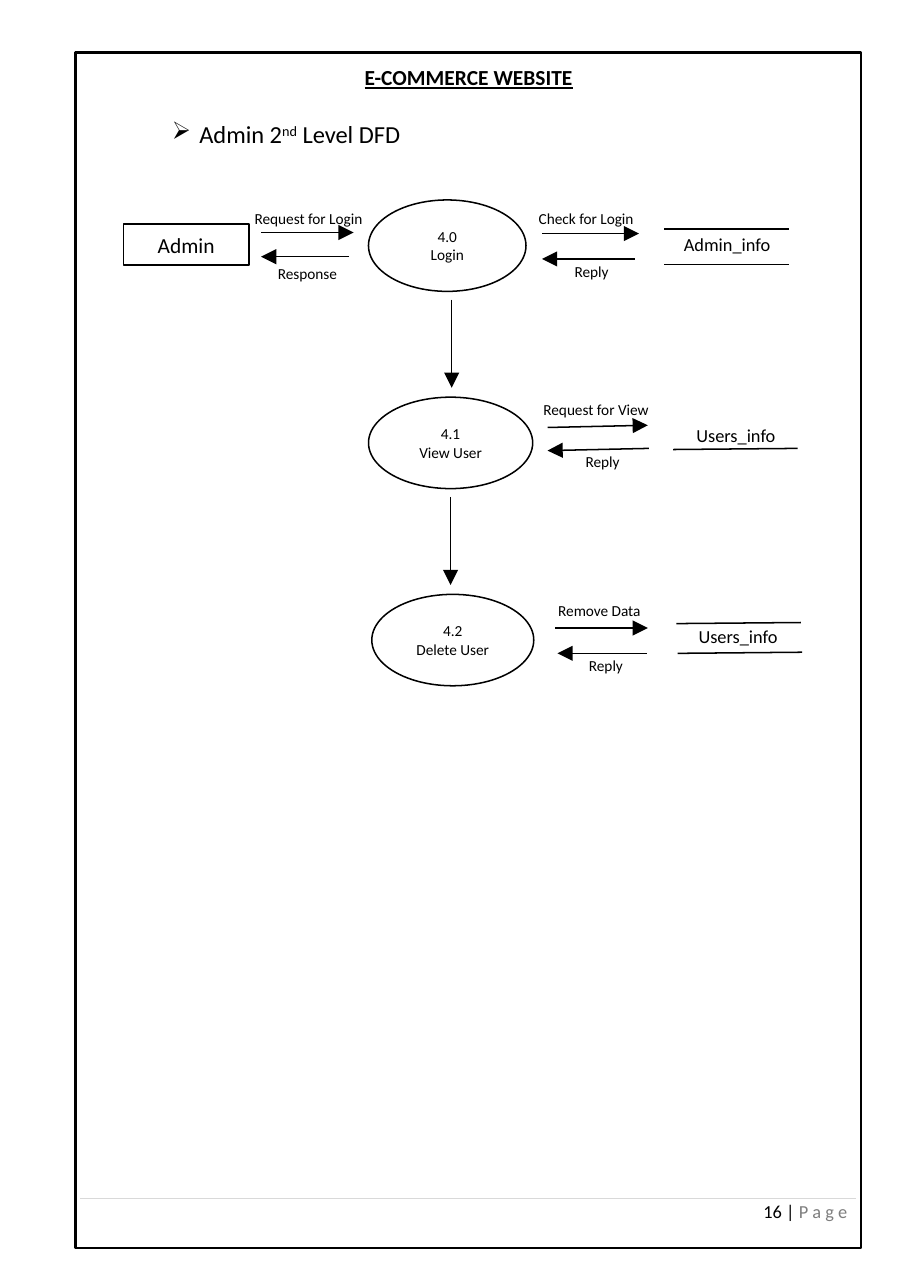
from lxml import etree
from pptx import Presentation, util as u
from pptx.dml.color import RGBColor
from pptx.enum import shapes, text
from pptx.oxml.ns import qn

PAGE = (8.26, 11.69)
COLORS = {"ink": "000000", "rule": "D9D9D9", "muted": "7E7E7E"}
FONT = "Calibri"
ROW_TOP, ROW_PITCH = 2.23, 1.79
ROWS = [ROW_TOP + ROW_PITCH * i for i in range(3)]

TITLE = "E-COMMERCE WEBSITE"
HEADING = [("Admin 2", 0), ("nd", 26), (" Level DFD", 0)]
FOOTER = [("16 | ", "ink"), ("P a g e", "muted")]
ENTITY = ("Admin", 1.69, 1.14, 0.37)

# text, centre x, width
PROCESSES = [("4.0\nLogin", 4.06, 1.43), ("4.1\nView User", 4.09, 1.49),
             ("4.2\nDelete User", 4.11, 1.47)]
PROCESS_HEIGHT = 0.83
STEP_XS = [4.1, 4.09]
STEP_GAPS = (0.49, 0.5)

# y values below are measured from the centre of the row
# row, label, label centre (x, y), arrow start (x, y), arrow end (x, y)
FLOWS = [
    (0, "Request for Login", (2.8, -0.25), (2.37, -0.12), (3.21, -0.12)),
    (0, "Response", (2.79, 0.25), (3.17, 0.1), (2.37, 0.1)),
    (0, "Check for Login", (5.32, -0.25), (4.92, -0.11), (5.8, -0.11)),
    (0, "Reply", (5.37, 0.23), (5.76, 0.12), (4.92, 0.12)),
    (1, "Request for View", (5.41, -0.3), (4.97, -0.14), (5.88, -0.16)),
    (1, "Reply", (5.47, 0.17), (5.89, 0.05), (4.97, 0.07)),
    (2, "Remove Data", (5.44, -0.27), (5.04, -0.11), (5.88, -0.11)),
    (2, "Reply", (5.5, 0.23), (5.87, 0.12), (5.06, 0.12)),
]
# text, text centre (x, y), lines as (left, left y, right y)
STORES = [
    ("Admin_info", (6.6, -0.01), [(6.03, -0.15, -0.15), (6.03, 0.17, 0.17)]),
    ("Users_info", (6.68, -0.07), [(6.11, 0.06, 0.05)]),
    ("Users_info", (6.7, -0.04), [(6.14, -0.15, -0.16), (6.15, 0.12, 0.11)]),
]
STORE_WIDTH = 1.13


def color(name):
    return RGBColor.from_string(COLORS[name])


def style(run, size, ink="ink"):
    run.font.name, run.font.size = FONT, u.Pt(size)
    run.font.color.rgb = color(ink)


def bare_frame(shape):
    frame = shape.text_frame
    frame.margin_left = frame.margin_right = frame.margin_top = frame.margin_bottom = 0
    return frame


def add_centered_text(shape, words, size):
    frame = bare_frame(shape)
    frame.word_wrap = True
    frame.vertical_anchor = text.MSO_ANCHOR.MIDDLE
    frame.text = words
    for paragraph in frame.paragraphs:
        paragraph.alignment = text.PP_ALIGN.CENTER
        for run in paragraph.runs:
            style(run, size)


def around(x, y, width, height):
    """Left, top, width and height of a box centred on x, y."""
    return [u.Inches(v) for v in (x - width / 2, y - height / 2, width, height)]


def add_label(slide, words, x, y, size):
    box = slide.shapes.add_textbox(*around(x, y, 1.2, 0.2))
    add_centered_text(box, words, size)


def add_outline(slide, kind, x, y, width, height, weight=1):
    shape = slide.shapes.add_shape(kind, *around(x, y, width, height))
    shape.shadow.inherit = False
    shape.fill.background()
    shape.line.color.rgb = color("ink")
    shape.line.width = u.Pt(weight)
    return shape


def add_line(slide, start, end, arrow=False, ink="ink", weight=1):
    line = slide.shapes.add_connector(
        shapes.MSO_CONNECTOR.STRAIGHT, *[u.Inches(v) for v in (*start, *end)])
    line.line.color.rgb = color(ink)
    line.line.width = u.Pt(weight)
    if arrow:
        etree.SubElement(line.line._get_or_add_ln(), qn("a:tailEnd"),
                         type="triangle", w="lg", len="lg")
    etree.SubElement(line._element.spPr, qn("a:effectLst"))


def add_page_frame(slide):
    add_outline(slide, shapes.MSO_SHAPE.RECTANGLE, 4.25, 5.9, 7.13, 10.85, 1.5)
    add_line(slide, (0.73, 10.88), (7.77, 10.88), ink="rule", weight=0.5)
    box = slide.shapes.add_textbox(*around(7.33, 10.99, 0.8, 0.2))
    frame = bare_frame(box)
    frame.vertical_anchor = text.MSO_ANCHOR.MIDDLE
    for words, ink in FOOTER:
        run = frame.paragraphs[0].add_run()
        run.text = words
        style(run, 12, ink)


def add_headings(slide):
    box = slide.shapes.add_textbox(*[u.Inches(v) for v in (1.51, 0.58, 4, 0.79)])
    frame = bare_frame(box)
    frame.word_wrap = True
    title = frame.paragraphs[0]
    title.text = TITLE
    title._p.get_or_add_pPr().set("marL", str(u.Inches(1.8)))
    style(title.runs[0], 14)
    title.runs[0].font.bold = title.runs[0].font.underline = True

    heading = frame.add_paragraph()
    heading.space_before = u.Pt(19)
    properties = heading._p.get_or_add_pPr()
    properties.set("marL", str(u.Inches(0.3)))
    properties.set("indent", str(u.Inches(-0.25)))
    etree.SubElement(properties, qn("a:buChar"), char="➢")
    for words, baseline in HEADING:
        run = heading.add_run()
        run.text = words
        style(run, 16)
        if baseline:
            run.font._element.set("baseline", str(baseline * 1000))


def add_diagram(slide):
    words, x, width, height = ENTITY
    entity = add_outline(slide, shapes.MSO_SHAPE.RECTANGLE, x, ROWS[0] - 0.01, width, height)
    add_centered_text(entity, words, 14)
    for y, (words, x, width) in zip(ROWS, PROCESSES):
        process = add_outline(slide, shapes.MSO_SHAPE.OVAL, x, y, width, PROCESS_HEIGHT)
        add_centered_text(process, words, 10)
    for x, above, below in zip(STEP_XS, ROWS, ROWS[1:]):
        add_line(slide, (x, above + STEP_GAPS[0]), (x, below - STEP_GAPS[1]), arrow=True)
    for row, words, label, start, end in FLOWS:
        y = ROWS[row]
        add_label(slide, words, label[0], y + label[1], 10)
        add_line(slide, (start[0], y + start[1]), (end[0], y + end[1]), arrow=True)
    for y, (words, center, lines) in zip(ROWS, STORES):
        add_label(slide, words, center[0], y + center[1], 12)
        for left, left_y, right_y in lines:
            add_line(slide, (left, y + left_y), (left + STORE_WIDTH, y + right_y))


def main():
    presentation = Presentation()
    presentation.slide_width, presentation.slide_height = [u.Inches(v) for v in PAGE]
    slide = presentation.slides.add_slide(presentation.slide_layouts[6])
    add_page_frame(slide)
    add_headings(slide)
    add_diagram(slide)
    presentation.save("out.pptx")


if __name__ == "__main__":
    main()
